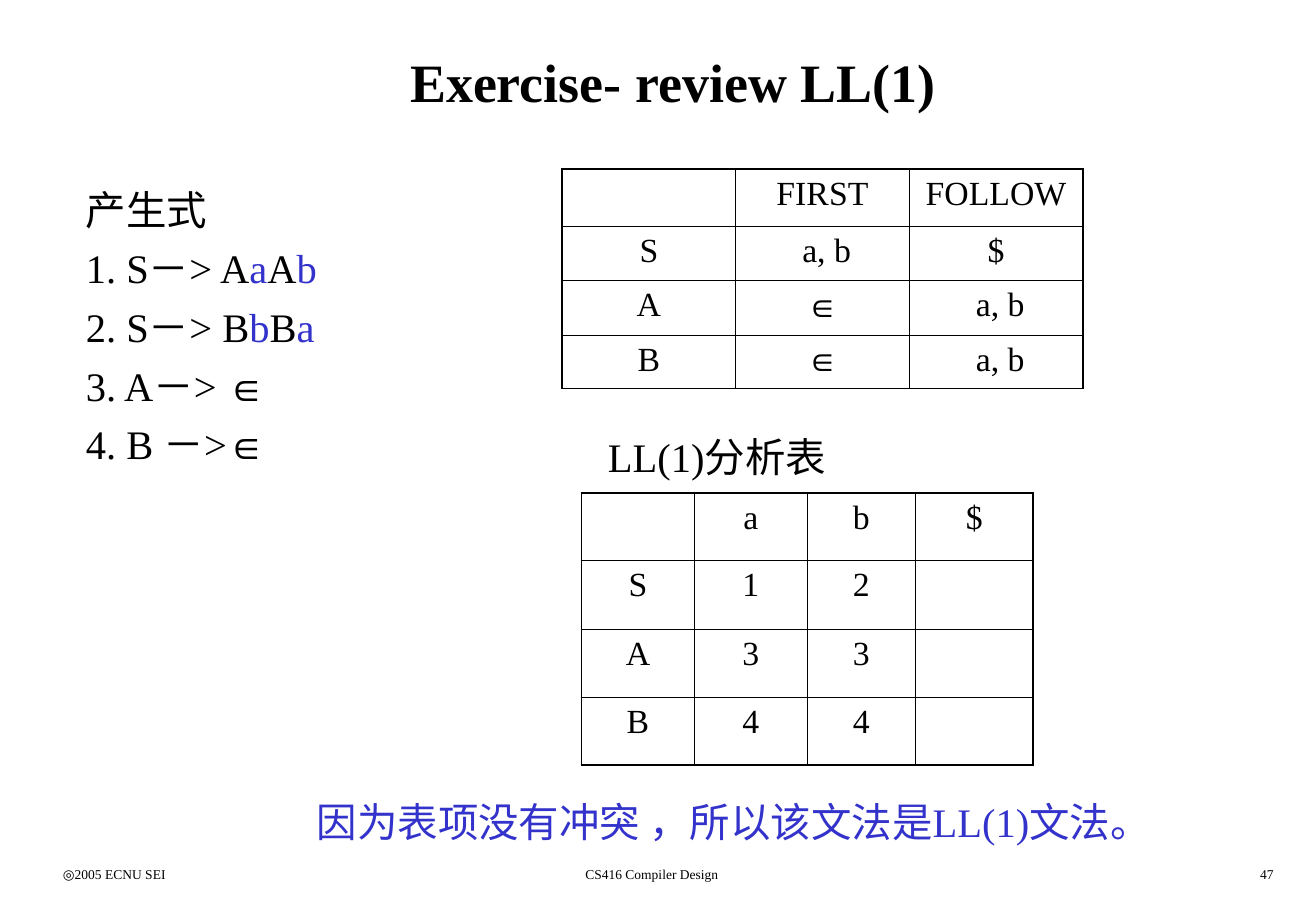
from dataclasses import dataclass

from lxml.etree import SubElement
from pptx import Presentation
from pptx.dml.color import RGBColor
from pptx.enum.text import (MSO_ANCHOR as Anchor, MSO_AUTO_SIZE as AutoSize,
                            PP_ALIGN as Align)
from pptx.oxml.ns import qn
from pptx.util import Inches, Pt


@dataclass(frozen=True)
class Theme:
    serif: str = "Times New Roman"
    symbol: str = "Arial"
    ink: str = "000000"
    accent: str = "3333CC"
    title: int = 32
    body: int = 24
    cell: int = 20
    footer: int = 8
    outer_line: float = 1.08
    inner_line: float = 0.45


THEME = Theme()

# Content: a line is a list of (text, style) runs
PLAIN, TERMINAL, EPSILON, STRONG = "plain", "terminal", "epsilon", "strong"
EMPTY_WORD = "∈"

TITLE = [("Exercise- review LL(1)", STRONG)]
PRODUCTIONS = [
    [("产生式", PLAIN)],
    [("1. S－> A", PLAIN), ("a", TERMINAL), ("A", PLAIN), ("b", TERMINAL)],
    [("2. S－> B", PLAIN), ("b", TERMINAL), ("B", PLAIN), ("a", TERMINAL)],
    [("3. A－> ", PLAIN), (EMPTY_WORD, EPSILON)],
    [("4. B －>", PLAIN), (EMPTY_WORD, EPSILON)],
]
PARSE_TABLE_CAPTION = [("LL(1)分析表", PLAIN)]
CONCLUSION = [("因为表项没有冲突 ，所以该文法是LL(1)文法。", TERMINAL)]

# Footers: text, left, width, alignment
FOOTERS = [
    ("◎2005 ECNU SEI", 0.42, 2.26, Align.LEFT),
    ("CS416 Compiler Design", 3.34, 4.06, Align.CENTER),
    ("47", 8.33, 2.26, Align.RIGHT),
]

FIRST_FOLLOW = {
    "at": (4.63, 1.39),
    "columns": [1.43, 1.43, 1.43],
    "rows": [0.47, 0.45, 0.45, 0.44],
    "cells": [
        ["", "FIRST", "FOLLOW"],
        ["S", "a, b", "$"],
        ["A", EMPTY_WORD, "a, b"],
        ["B", EMPTY_WORD, "a, b"],
    ],
}
PARSE_TABLE = {
    "at": (4.79, 4.06),
    "columns": [0.93, 0.93, 0.89, 0.97],
    "rows": [0.55, 0.57, 0.56, 0.56],
    "cells": [
        ["", "a", "b", "$"],
        ["S", "1", "2", ""],
        ["A", "3", "3", ""],
        ["B", "4", "4", ""],
    ],
}


def add_runs(para, runs, size):
    for text, style in runs:
        span = para.add_run()
        span.text = text
        font = span.font
        font.size = Pt(size)
        font.name = THEME.symbol if style == EPSILON else THEME.serif
        font.bold = style in (EPSILON, STRONG)
        color = THEME.accent if style == TERMINAL else THEME.ink
        font.color.rgb = RGBColor.from_string(color)


def add_text(page, place, lines, size, align=Align.LEFT,
             anchor=Anchor.TOP, one_line=False, gap=0):
    box = page.shapes.add_textbox(*map(Inches, place))
    frame = box.text_frame
    frame.word_wrap = not one_line
    if one_line:
        frame.auto_size = AutoSize.SHAPE_TO_FIT_TEXT
    frame.vertical_anchor = anchor
    for index, runs in enumerate(lines):
        para = frame.add_paragraph() if index else frame.paragraphs[0]
        para.alignment = align
        para.space_before = Pt(gap if index else 0)
        add_runs(para, runs, size)


def add_border(cell, side, points):
    line = SubElement(cell._tc.get_or_add_tcPr(), qn(f"a:ln{side}"),
                      w=str(Pt(points)))
    fill = SubElement(line, qn("a:solidFill"))
    SubElement(fill, qn("a:srgbClr"), val=THEME.ink)


def add_grid(page, grid):
    columns, rows = grid["columns"], grid["rows"]
    size = (sum(columns), sum(rows))
    frame = page.shapes.add_table(len(rows), len(columns),
                                  *map(Inches, grid["at"] + size))
    table = frame.table
    table.first_row = table.horz_banding = False
    for column, width in zip(table.columns, columns):
        column.width = Inches(width)
    for row, height in zip(table.rows, rows):
        row.height = Inches(height)

    for r, texts in enumerate(grid["cells"]):
        for c, text in enumerate(texts):
            cell = table.cell(r, c)
            # Heavier lines run around the outside of the grid
            on_edge = {"L": c == 0, "R": c == len(columns) - 1,
                       "T": r == 0, "B": r == len(rows) - 1}
            for side, outer in on_edge.items():
                add_border(cell, side,
                           THEME.outer_line if outer else THEME.inner_line)
            cell.fill.background()
            # Symbol pairs sit slightly right of the cell centre
            cell.margin_left = Inches(0.17 if "," in text else 0.1)
            para = cell.text_frame.paragraphs[0]
            para.alignment = Align.CENTER
            if text:
                style = EPSILON if text == EMPTY_WORD else PLAIN
                add_runs(para, [(text, style)], THEME.cell)


def main():
    deck = Presentation()
    deck.slide_width, deck.slide_height = Inches(10.84), Inches(7.5)
    page = deck.slides.add_slide(deck.slide_layouts[6])

    # Footers and title
    for text, left, width, align in FOOTERS:
        add_text(page, (left, 7.08, width, 0.25), [[(text, PLAIN)]],
                 THEME.footer, align)
    add_text(page, (0.42, 0.17, 10.25, 1), [TITLE], THEME.title,
             Align.CENTER, Anchor.MIDDLE)

    # Set table and parse table
    add_grid(page, FIRST_FOLLOW)
    add_grid(page, PARSE_TABLE)

    # Grammar, caption and conclusion
    add_text(page, (0.61, 1.47, 2.98, 3.15), PRODUCTIONS, THEME.body, gap=6)
    add_text(page, (4.91, 3.51, 2.1, 0.5), [PARSE_TABLE_CAPTION],
             THEME.body, one_line=True)
    add_text(page, (2.51, 6.51, 7.23, 0.5), [CONCLUSION],
             THEME.body, one_line=True)

    deck.save("out.pptx")


if __name__ == "__main__":
    main()
